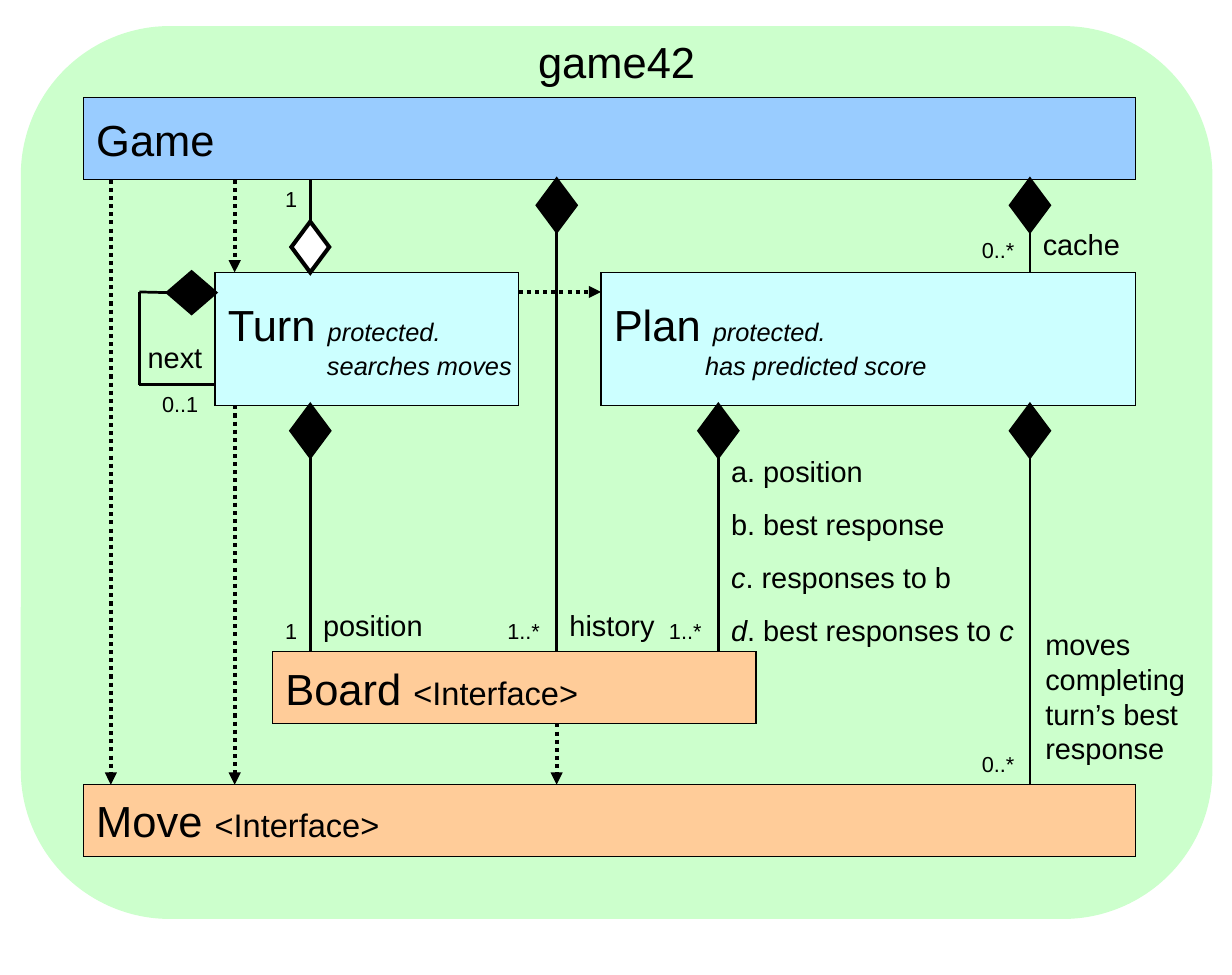
from lxml import etree
from pptx import Presentation
from pptx.dml.color import RGBColor
from pptx.enum.dml import MSO_LINE
from pptx.enum.shapes import MSO_CONNECTOR, MSO_SHAPE
from pptx.enum.text import MSO_ANCHOR, MSO_AUTO_SIZE, PP_ALIGN
from pptx.oxml.ns import qn
from pptx.util import Inches, Pt

LEFT, CENTER, RIGHT = PP_ALIGN.LEFT, PP_ALIGN.CENTER, PP_ALIGN.RIGHT
TOP, MIDDLE = MSO_ANCHOR.TOP, MSO_ANCHOR.MIDDLE
RECTANGLE, ROUNDED, DIAMOND = (
    MSO_SHAPE.RECTANGLE, MSO_SHAPE.ROUNDED_RECTANGLE, MSO_SHAPE.DIAMOND)
STRAIGHT, DOTTED = MSO_CONNECTOR.STRAIGHT, MSO_LINE.ROUND_DOT
NO_FIT = MSO_AUTO_SIZE.NONE
SIDE_TOP, SIDE_LEFT, SIDE_BOTTOM = 0, 1, 2

WIDTH, HEIGHT = 9.45, 7.48
BLACK, WHITE = "000000", "FFFFFF"
GREEN, BLUE, CYAN, ORANGE = "CCFFCC", "99CCFF", "CCFFFF", "FFCC99"

# Class boxes: left, top, width, height
GAME = (0.64, 0.75, 8.07, 0.63)
TURN = (1.65, 2.09, 2.33, 1.02)
PLAN = (4.61, 2.09, 4.1, 1.02)
BOARD = (2.09, 5, 3.71, 0.55)
MOVE = (0.64, 6.02, 8.07, 0.55)

# Columns along which the relations run
GAME_MOVE, TURN_USE, TURN_COL = 0.85, 1.8, 2.38
HISTORY, PLAN_COL, CACHE, LOOP = 4.27, 5.51, 7.9, 1.07
LOOP_TOP, LOOP_BOTTOM = 2.24, 2.95
DIAMOND_W, DIAMOND_H = 0.29, 0.39


def color(value):
    return RGBColor.from_string(value)


def inches(*values):
    return [Inches(value) for value in values]


def bottom(box):
    return box[1] + box[3]


def right(box):
    return box[0] + box[2]


def write(frame, paragraphs, size=16, align=LEFT, anchor=TOP, before=0,
          indents=(), hanging=0):
    """Each paragraph is a list of (text, size or None, italic) spans."""
    frame.word_wrap = True
    frame.auto_size = NO_FIT
    frame.vertical_anchor = anchor
    for index, spans in enumerate(paragraphs):
        para = frame.paragraphs[0] if index == 0 else frame.add_paragraph()
        para.alignment = align
        para.space_before = Pt(before if index else 0)
        margin = indents[index] if indents else hanging
        if margin:
            properties = para._p.get_or_add_pPr()
            properties.set("marL", str(Inches(margin)))
            properties.set("indent", str(Inches(-hanging)))
        for text, span_size, italic in spans:
            span = para.add_run()
            span.text = text
            span.font.name = "Arial"
            span.font.size = Pt(span_size or size)
            span.font.italic = italic
            span.font.color.rgb = color(BLACK)


def add_block(page, kind, box, fill, line_width=0.75):
    block = page.shapes.add_shape(kind, *inches(*box))
    block.shadow.inherit = False
    block.fill.solid()
    block.fill.fore_color.rgb = color(fill)
    if line_width:
        block.line.color.rgb = color(BLACK)
        block.line.width = Pt(line_width)
        etree.SubElement(block.line._get_or_add_ln(), qn("a:miter"), lim="800000")
    else:
        block.line.fill.background()
    return block


def add_class(page, box, fill, name, note="", note_size=18, second="", indent=0):
    block = add_block(page, RECTANGLE, box, fill)
    block.text_frame.margin_right = 0
    italic = bool(second)
    paragraphs = [[(name + " " if note else name, 24, False)]]
    if note:
        paragraphs[0].append((note, note_size, italic))
    if second:
        paragraphs.append([(second, note_size, italic)])
    write(block.text_frame, paragraphs, anchor=MIDDLE, indents=(0, indent))


def add_label(page, box, text, **style):
    label = page.shapes.add_textbox(*inches(*box))
    write(label.text_frame, [[(text, None, False)]], **style)


def add_line(page, start, end, width=1.5, dotted_arrow=False):
    line = page.shapes.add_connector(STRAIGHT, *inches(*start, *end))
    line.line.color.rgb = color(BLACK)
    line.line.width = Pt(width)
    if dotted_arrow:
        line.line.dash_style = DOTTED
        etree.SubElement(line.line._get_or_add_ln(), qn("a:tailEnd"), type="triangle")
    etree.SubElement(line._element.spPr, qn("a:effectLst"))
    return line


def add_diamond(page, column, top, fill=BLACK):
    box = (column - DIAMOND_W / 2, top, DIAMOND_W, DIAMOND_H)
    return add_block(page, DIAMOND, box, fill, 2.25)


def add_package(page):
    add_block(page, ROUNDED, (0.16, 0.2, 9.14, 6.85), GREEN, 0).adjustments[0] = 0.167
    title = page.shapes.title
    title.left, title.top, title.width, title.height = inches(2.6, 0.22, 4.26, 0.5)
    write(title.text_frame, [[("game42", None, False)]], size=24, align=CENTER)
    page.shapes._spTree.append(title._element)  # bring in front of the package


def add_classes(page):
    add_class(page, GAME, BLUE, "Game")
    add_class(page, TURN, CYAN, "Turn", "protected.", 14, "searches moves", 0.76)
    add_class(page, PLAN, CYAN, "Plan", "protected.", 14, "has predicted score", 0.7)
    add_class(page, BOARD, ORANGE, "Board", "<Interface>")
    add_class(page, MOVE, ORANGE, "Move", "<Interface>")


def add_uses(page):
    for column, source, target in ((GAME_MOVE, GAME, MOVE), (TURN_USE, GAME, TURN),
                                   (TURN_USE, TURN, MOVE), (HISTORY, BOARD, MOVE)):
        add_line(page, (column, bottom(source)), (column, target[1]), 2.25, True)
    add_line(page, (right(TURN), LOOP_TOP), (PLAN[0], LOOP_TOP), 2.25, True)


def add_compositions(page):
    # Filled diamonds hang below the owner
    for column, owner, part in ((HISTORY, GAME, BOARD), (CACHE, GAME, PLAN),
                                (TURN_COL, TURN, BOARD), (PLAN_COL, PLAN, BOARD),
                                (CACHE, PLAN, MOVE)):
        diamond = add_diamond(page, column, bottom(owner))
        line = add_line(page, (column, bottom(owner)), (column, part[1]))
        line.begin_connect(diamond, SIDE_BOTTOM)
    # Hollow diamond stands on the turn
    diamond = add_diamond(page, TURN_COL, TURN[1] - DIAMOND_H, WHITE)
    line = add_line(page, (TURN_COL, bottom(GAME)), (TURN_COL, TURN[1]))
    line.end_connect(diamond, SIDE_TOP)
    # Loop from the turn to the next turn
    diamond = add_block(page, DIAMOND, (TURN[0] - 0.36, TURN[1], 0.36, 0.31), BLACK, 2.25)
    line = add_line(page, (TURN[0], LOOP_TOP), (LOOP, LOOP_TOP))
    line.begin_connect(diamond, SIDE_LEFT)
    add_line(page, (LOOP, LOOP_TOP), (LOOP, LOOP_BOTTOM))
    add_line(page, (LOOP, LOOP_BOTTOM), (TURN[0], LOOP_BOTTOM))


def add_labels(page):
    # Multiplicities
    count_top = BOARD[1] - 0.31
    for text, left, top, width in (
            ("1", 2.09, bottom(GAME), 0.26), ("0..*", 7.11, 1.77, 0.77),
            ("0..1", LOOP, LOOP_BOTTOM, 0.55), ("1", 2.09, count_top, 0.26),
            ("1..*", 3.76, count_top, 0.48), ("1..*", 5, count_top, 0.48),
            ("0..*", 7.4, MOVE[1] - 0.31, 0.48)):
        add_label(page, (left, top, width, 0.3), text, size=12, align=RIGHT)
    # Roles
    role_top = BOARD[1] - 0.39
    add_label(page, (TURN_COL, role_top, 1.02, 0.37), "position")
    add_label(page, (HISTORY, role_top, 0.87, 0.37), "history")
    add_label(page, (CACHE, 1.69, 1.02, 0.37), "cache")
    add_label(page, (1, 2.56, 0.65, 0.37), "next", align=RIGHT)
    add_label(page, (7.92, 4.76, 1.34, 1.17), "moves completing turn’s best response")
    # What a plan holds
    holds = page.shapes.add_textbox(*inches(PLAN_COL, 3.43, 2.4, 1.58))
    write(holds.text_frame, [
        [("a. position", None, False)],
        [("b. best response", None, False)],
        [("c", None, True), (". responses to b", None, False)],
        [("d", None, True), (". best responses to ", None, False), ("c", None, True)],
    ], before=10, hanging=0.38)


def main():
    deck = Presentation()
    deck.slide_width, deck.slide_height = inches(WIDTH, HEIGHT)
    page = deck.slides.add_slide(deck.slide_layouts[5])
    add_package(page)
    add_classes(page)
    add_uses(page)
    add_compositions(page)
    add_labels(page)
    deck.save("out.pptx")


if __name__ == "__main__":
    main()
